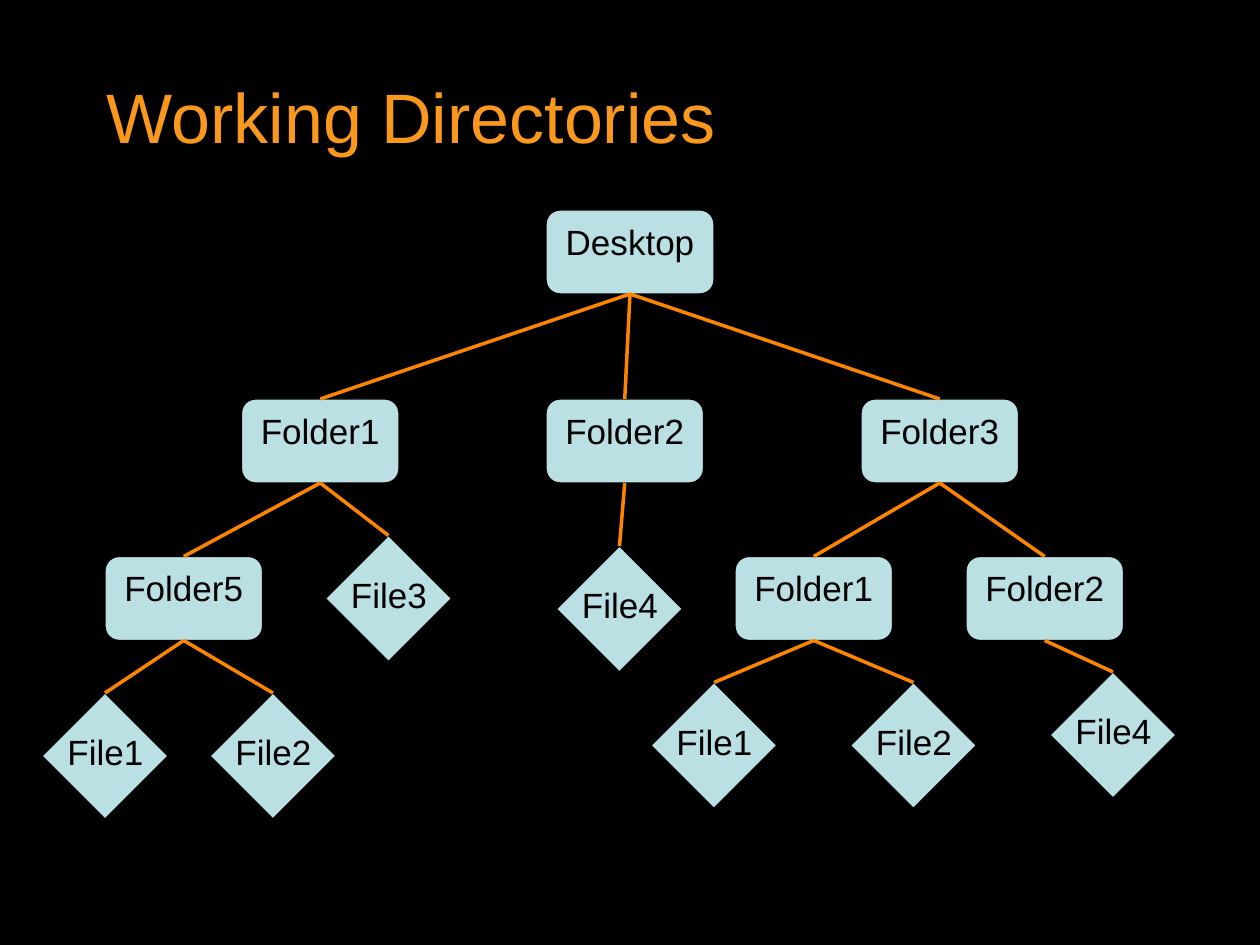
from lxml.etree import SubElement
from pptx import Presentation
from pptx.dml.color import RGBColor
from pptx.enum.shapes import MSO_CONNECTOR, MSO_SHAPE
from pptx.enum.text import MSO_ANCHOR, MSO_AUTO_SIZE, PP_ALIGN
from pptx.oxml.ns import qn
from pptx.util import Pt

BLACK = RGBColor(0x00, 0x00, 0x00)
TITLE_ORANGE = RGBColor(0xF8, 0x98, 0x1D)
LINE_ORANGE = RGBColor(0xFC, 0x85, 0x00)
PALE_BLUE = RGBColor(0xBB, 0xE0, 0xE3)

TITLE = "Working Directories"
TITLE_FONT = {"name": "Arial", "size": Pt(40), "color": TITLE_ORANGE}
NODE_FONT = {"name": "Arial", "size": Pt(20), "color": BLACK}

# Each node: kind, name, left, top, children
TREE = ("desktop", "Desktop", 312, 120, [
    ("folder", "Folder1", 138, 228, [
        ("folder", "Folder5", 60, 318, [
            ("file", "File1", 24, 396, []),
            ("file", "File2", 120, 396, []),
        ]),
        ("file", "File3", 186, 306, []),
    ]),
    ("folder", "Folder2", 312, 228, [
        ("file", "File4", 318, 312, []),
    ]),
    ("folder", "Folder3", 492, 228, [
        ("folder", "Folder1", 420, 318, [
            ("file", "File1", 372, 390, []),
            ("file", "File2", 486, 390, []),
        ]),
        ("folder", "Folder2", 552, 318, [
            ("file", "File4", 600, 384, []),
        ]),
    ]),
])
SIZES = {"desktop": (96, 48), "folder": (90, 48), "file": (72, 72)}
LABEL_OFFSET = (7.5, 18)
LABEL_SIZE = (58, 31.5)


def write(frame, text, font, align=PP_ALIGN.LEFT):
    paragraph = frame.paragraphs[0]
    paragraph.alignment = align
    run = paragraph.add_run()
    run.text = text
    for key, value in font.items():
        if key == "color":
            run.font.color.rgb = value
        else:
            setattr(run.font, key, value)


def add_box(shapes, preset, left, top, width, height):
    shape = shapes.add_shape(preset, Pt(left), Pt(top), Pt(width), Pt(height))
    shape.shadow.inherit = False
    shape.fill.solid()
    shape.fill.fore_color.rgb = PALE_BLUE
    shape.line.color.rgb = BLACK
    shape.line.width = Pt(0.75)
    return shape


def add_folder(shapes, name, left, top, width, height):
    box = add_box(shapes, MSO_SHAPE.ROUNDED_RECTANGLE, left, top, width, height)
    box.text_frame.vertical_anchor = MSO_ANCHOR.TOP
    write(box.text_frame, name, NODE_FONT, PP_ALIGN.CENTER)


def add_file(shapes, name, left, top, width, height):
    """Group a diamond with its separate label."""
    group = shapes.add_group_shape()
    add_box(group.shapes, MSO_SHAPE.DIAMOND, left, top, width, height)
    dx, dy = LABEL_OFFSET
    label = group.shapes.add_textbox(
        Pt(left + dx), Pt(top + dy), *map(Pt, LABEL_SIZE))
    label.text_frame.word_wrap = False
    label.text_frame.auto_size = MSO_AUTO_SIZE.SHAPE_TO_FIT_TEXT
    write(label.text_frame, name, NODE_FONT)


def add_branch(shapes, start, end):
    branch = shapes.add_connector(
        MSO_CONNECTOR.STRAIGHT, *map(Pt, start), *map(Pt, end))
    branch.line.color.rgb = LINE_ORANGE
    branch.line.width = Pt(2)
    SubElement(branch._element.spPr, qn("a:effectLst"))


def add_tree(shapes, node):
    """Draw a node, then its children and the branches down to them."""
    kind, name, left, top, children = node
    width, height = SIZES[kind]
    add_node = add_file if kind == "file" else add_folder
    add_node(shapes, name, left, top, width, height)
    for child in children:
        child_kind, _, child_left, child_top, _ = child
        add_tree(shapes, child)
        add_branch(shapes, (left + width / 2, top + height),
                   (child_left + SIZES[child_kind][0] / 2, child_top))


def main():
    presentation = Presentation()
    presentation.slide_width, presentation.slide_height = Pt(720), Pt(540)
    slide = presentation.slides.add_slide(presentation.slide_layouts[6])
    slide.background.fill.solid()
    slide.background.fill.fore_color.rgb = BLACK

    title = slide.shapes.add_textbox(Pt(54), Pt(42), Pt(612), Pt(48))
    title.text_frame.word_wrap = True
    title.text_frame.vertical_anchor = MSO_ANCHOR.MIDDLE
    write(title.text_frame, TITLE, TITLE_FONT)

    add_tree(slide.shapes, TREE)
    presentation.save("out.pptx")


if __name__ == "__main__":
    main()
